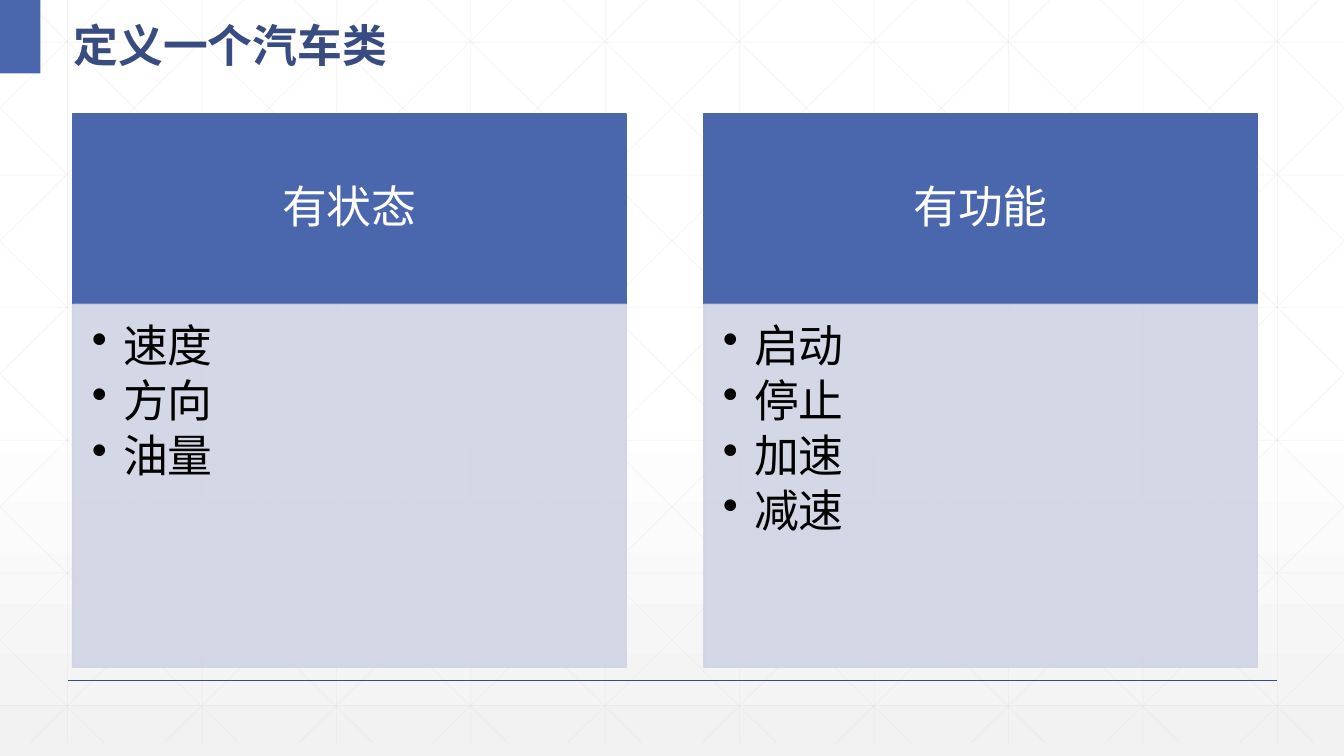
from copy import deepcopy
from dataclasses import dataclass

from lxml.etree import SubElement
from pptx import Presentation
from pptx.dml.color import RGBColor
from pptx.enum.shapes import MSO_CONNECTOR, MSO_SHAPE
from pptx.enum.text import MSO_ANCHOR, PP_ALIGN
from pptx.oxml.ns import qn
from pptx.util import Inches, Pt


@dataclass(frozen=True)
class Theme:
    blue: str = "4A66AC"
    navy: str = "384C81"
    pale: str = "D0D3E3"
    grid: str = "D9D9D9"
    white: str = "FFFFFF"
    black: str = "000000"
    floor: str = "F2F2F2"
    size: int = 32
    latin: str = "Arial"
    cjk: str = "Noto Sans CJK SC"


T = Theme()
WIDTH, HEIGHT = 13.33, 7.5


def add_line(shapes, start, end, color, width, opacity=100):
    line = shapes.add_connector(MSO_CONNECTOR.STRAIGHT,
                                *(Inches(v) for v in (*start, *end)))
    line.line.width = Pt(width)
    line.line.color.rgb = RGBColor.from_string(color)
    SubElement(line._element.spPr, qn("a:effectLst"))
    if opacity < 100:
        rgb = line._element.find(".//" + qn("a:srgbClr"))
        SubElement(rgb, qn("a:alpha"), val=str(opacity * 1000))


def add_block(shapes, box, fill, opacity=100, lines=(), color=T.black, after=0,
              bullets=False, insets=(0, 0, 0, 0), anchor=MSO_ANCHOR.TOP):
    """Add a filled rectangle with lines of text, bulleted or centred."""
    sp = shapes.add_shape(MSO_SHAPE.RECTANGLE, *(Inches(v) for v in box))
    sp.shadow.inherit = False
    sp.fill.solid()
    sp.fill.fore_color.rgb = RGBColor.from_string(fill)
    sp.line.width = Pt(1)
    sp.line.color.rgb = RGBColor.from_string(fill)
    if opacity < 100:
        for rgb in sp._element.spPr.iter(qn("a:srgbClr")):
            SubElement(rgb, qn("a:alpha"), val=str(opacity * 1000))
    tf = sp.text_frame
    tf.word_wrap = True
    tf.vertical_anchor = anchor
    for side, inset in zip(("left", "top", "right", "bottom"), insets):
        setattr(tf, f"margin_{side}", Inches(inset))
    for i, text in enumerate(lines):
        p = tf.paragraphs[0] if i == 0 else tf.add_paragraph()
        p.alignment = PP_ALIGN.LEFT if bullets else PP_ALIGN.CENTER
        p.line_spacing = 0.9
        pPr = p._p.get_or_add_pPr()
        SubElement(SubElement(pPr, qn("a:spcAft")), qn("a:spcPct"), val=str(after * 1000))
        if bullets:
            p.level = 1
            pPr.set("marL", str(Inches(0.31)))
            pPr.set("indent", str(-Inches(0.31)))
            SubElement(pPr, qn("a:buChar"), char="•")
        r = p.add_run()
        r.text = text
        r.font.size = Pt(T.size)
        r.font.name = T.latin
        r.font.color.rgb = RGBColor.from_string(color)
    return sp


prs = Presentation()
prs.slide_width, prs.slide_height = Inches(WIDTH), Inches(HEIGHT)
s = prs.slides.add_slide(prs.slide_layouts[6])

# Background gradient, white down to light grey
bg = s.background.fill
bg.gradient()
bg.gradient_angle = 270
stops = s._element.find(".//" + qn("a:gsLst"))
stops.insert(1, deepcopy(stops[0]))
for stop, (position, color) in zip(bg.gradient_stops,
                                   ((0, T.white), (0.53, T.white), (1, T.floor))):
    stop.position = position
    stop.color.rgb = RGBColor.from_string(color)

# Background grid with mirrored diagonals
GRID_BOTTOM, GRID_STEP, DIAGONAL_RUN = 7.37, 4 / 3, 7.45
grid = s.shapes.add_group_shape().shapes
grid_lines = []
for i in range(10):
    x = 0.67 + i * GRID_STEP
    grid_lines.append(((x, 0), (x, GRID_BOTTOM)))
for i in range(6):
    y = 0.42 + i * 1.316
    grid_lines.append(((0, y), (WIDTH, y)))
for i in range(-5, 10):
    x = 0.25 + i * GRID_STEP
    left, right = max(x, 0), min(x + DIAGONAL_RUN, WIDTH)
    top, bottom = ((edge - x) * GRID_BOTTOM / DIAGONAL_RUN for edge in (left, right))
    grid_lines.append(((left, top), (right, bottom)))
    grid_lines.append(((WIDTH - left, top), (WIDTH - right, bottom)))
for start, end in grid_lines:
    add_line(grid, start, end, T.grid, 0.5, opacity=25)

# Footer rule, corner tab and title
add_line(s.shapes, (0.67, 6.75), (12.67, 6.75), T.navy, 1)
corner = add_block(s.shapes, (0, 0, 0.4, 0.73), T.blue)
corner.line.fill.background()

title = s.shapes.add_textbox(Inches(0.63), Inches(0), Inches(5.69), Inches(0.73))
tf = title.text_frame
tf.word_wrap = True
tf.vertical_anchor = MSO_ANCHOR.MIDDLE
p = tf.paragraphs[0]
p.line_spacing = 1.3
r = p.add_run()
r.text = "定义一个汽车类"
for name, value in {"size": Pt(T.size), "bold": True, "name": T.cjk}.items():
    setattr(r.font, name, value)
r.font.color.rgb = RGBColor.from_string(T.navy)
SubElement(r._r.get_or_add_rPr(), qn("a:ea"), typeface=T.cjk)

# Two cards: a heading above its list
CARDS = {"有状态": ("速度", "方向", "油量"),
         "有功能": ("启动", "停止", "加速", "减速")}
for i, (heading, items) in enumerate(CARDS.items()):
    x = 0.72 + i * 6.26
    card = s.shapes.add_group_shape().shapes
    add_block(card, (x, 1.13, 5.49, 1.89), T.blue, lines=(heading,), color=T.white,
              after=35, insets=(0.25, 0.14, 0.25, 0.14), anchor=MSO_ANCHOR.MIDDLE)
    add_block(card, (x, 3.02, 5.49, 3.6), T.pale, opacity=90, lines=items, after=15,
              bullets=True, insets=(0.19, 0.19, 0.25, 0.28))

prs.save("out.pptx")
